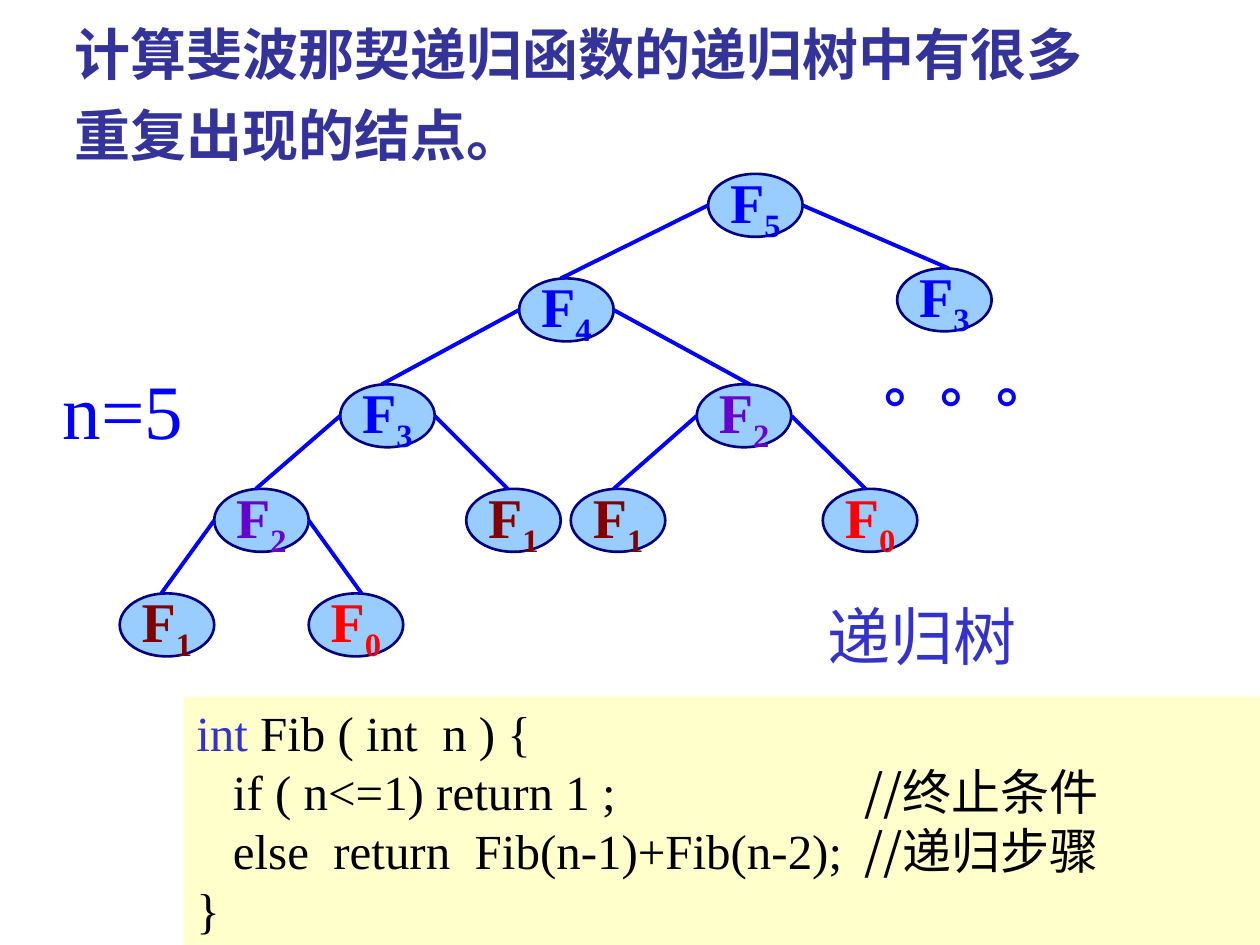
import pptx
import pptx.util
import pptx.dml.color
import pptx.enum.shapes
import pptx.enum.text
import pptx.oxml.ns
from lxml import etree
from pptx.util import Inches

COLORS = {"title": "333399", "blue": "0000FF", "indigo": "3333CC", "code": "000000",
          "code_bg": "FFFFCC", "node": "99CCFF", "node_line": "000080"}
LABEL_COLORS = {0: "FF0000", 1: "800000", 2: "6600CC"}
LATIN, CJK = "Times New Roman", "Noto Sans CJK SC"
qn = pptx.oxml.ns.qn


def rgb(name):
    return pptx.dml.color.RGBColor.from_string(COLORS.get(name, name))


def add_run(p, text, size, color, bold=False, font=LATIN):
    r = p.add_run()
    r.text = text
    for key, value in {"size": pptx.util.Pt(size), "bold": bold, "name": font}.items():
        setattr(r.font, key, value)
    r.font.color.rgb = rgb(color)
    etree.SubElement(r.font._element, qn("a:ea"), typeface=CJK)
    return r


prs = pptx.Presentation()
prs.slide_width, prs.slide_height = Inches(10), Inches(7.5)
s = prs.slides.add_slide(prs.slide_layouts[5])

# Title
sp = s.shapes.title
frame = {"left": 0.49, "top": 0, "width": 8.49, "height": 1.38}
for key, value in frame.items():
    setattr(sp, key, Inches(value))
tf = sp.text_frame
tf.word_wrap = True
tf.auto_size = pptx.enum.text.MSO_AUTO_SIZE.NONE
tf.vertical_anchor = pptx.enum.text.MSO_ANCHOR.TOP
p = tf.paragraphs[0]
p.alignment = pptx.enum.text.PP_ALIGN.LEFT
p.line_spacing = 1.2
add_run(p, "计算斐波那契递归函数的递归树中有很多重复出现的结点。", 32, "title", True)

# Code
sp = s.shapes.add_shape(pptx.enum.shapes.MSO_SHAPE.RECTANGLE,
                        Inches(1.46), Inches(5.53), Inches(8.54), Inches(1.97))
sp.shadow.inherit = False
sp.fill.solid()
sp.fill.fore_color.rgb = rgb("code_bg")
sp.line.fill.background()
tf = sp.text_frame
tf.word_wrap = True
tf.vertical_anchor = pptx.enum.text.MSO_ANCHOR.TOP
code = [
    [("int", "indigo", LATIN), (" Fib ( int  n ) {", "code", LATIN)],
    [("   if ( n<=1) return 1 ;\t", "code", LATIN), ("//终止条件", "code", CJK)],
    [("   else  return  Fib(n-1)+Fib(n-2);\t", "code", LATIN), ("//递归步骤", "code", CJK)],
    [("}", "code", LATIN)],
]
for i, line in enumerate(code):
    p = tf.paragraphs[0] if i == 0 else tf.add_paragraph()
    p.alignment = pptx.enum.text.PP_ALIGN.LEFT
    tabs = etree.SubElement(p._p.get_or_add_pPr(), qn("a:tabLst"))
    etree.SubElement(tabs, qn("a:tab"), pos=str(Inches(5.3)), algn="l")
    for text, color, font in line:
        add_run(p, text, 28, color, font=font)

# Recursion tree: n, left, top, parent's index, where the edge meets the top
NODE_W, NODE_H = 0.75, 0.5
nodes = [
    (5, 5.62, 1.38, None, 0),
    (4, 4.12, 2.21, 0, 0.33),
    (3, 7.12, 2.13, 0, 0.41),
    (3, 2.70, 3.05, 1, 0.33),
    (2, 5.53, 3.05, 1, 0.42),
    (2, 1.70, 3.88, 3, 0.33),
    (1, 3.70, 3.88, 3, 0.33),
    (1, 0.95, 4.71, 5, 0.33),
    (0, 2.45, 4.71, 5, 0.42),
    (1, 4.53, 3.88, 4, 0.34),
    (0, 6.53, 3.88, 4, 0.34),
]
for n, x, y, parent, joint in nodes:
    sp = s.shapes.add_shape(pptx.enum.shapes.MSO_SHAPE.OVAL,
                            Inches(x), Inches(y), Inches(NODE_W), Inches(NODE_H))
    sp.shadow.inherit = False
    sp.fill.solid()
    sp.fill.fore_color.rgb = rgb("node")
    sp.line.color.rgb = rgb("node_line")
    sp.line.width = pptx.util.Pt(1.5)
    tf = sp.text_frame
    tf.word_wrap = False
    tf.vertical_anchor = pptx.enum.text.MSO_ANCHOR.MIDDLE
    p = tf.paragraphs[0]
    p.alignment = pptx.enum.text.PP_ALIGN.CENTER
    color = LABEL_COLORS.get(n, "blue")
    add_run(p, "F", 32, color, True)
    r = add_run(p, str(n), 32, color, True)
    r.font._element.set("baseline", "-25000")

for n, x, y, parent, joint in nodes[1:]:
    px, py = nodes[parent][1:3]
    start = px if x < px else px + NODE_W
    edge = s.shapes.add_connector(pptx.enum.shapes.MSO_CONNECTOR.STRAIGHT,
                                  Inches(start), Inches(py + NODE_H / 2),
                                  Inches(x + joint), Inches(y))
    edge.line.color.rgb = rgb("blue")
    edge.line.width = pptx.util.Pt(2.25)
    etree.SubElement(edge._element.spPr, qn("a:effectLst"))

# Labels beside the tree
labels = [
    ("。。。", 6.92, 2.70, 1.53, 0.64, 32, "blue", True),
    ("n=5", 0.40, 2.83, 2.07, 0.84, 44, "blue", False),
    ("递归树", 6.47, 4.69, 2.72, 0.70, 36, "indigo", False),
]
for text, x, y, w, h, size, color, bold in labels:
    tf = s.shapes.add_textbox(Inches(x), Inches(y), Inches(w), Inches(h)).text_frame
    tf.word_wrap = True
    add_run(tf.paragraphs[0], text, size, color, bold)

prs.save("out.pptx")
